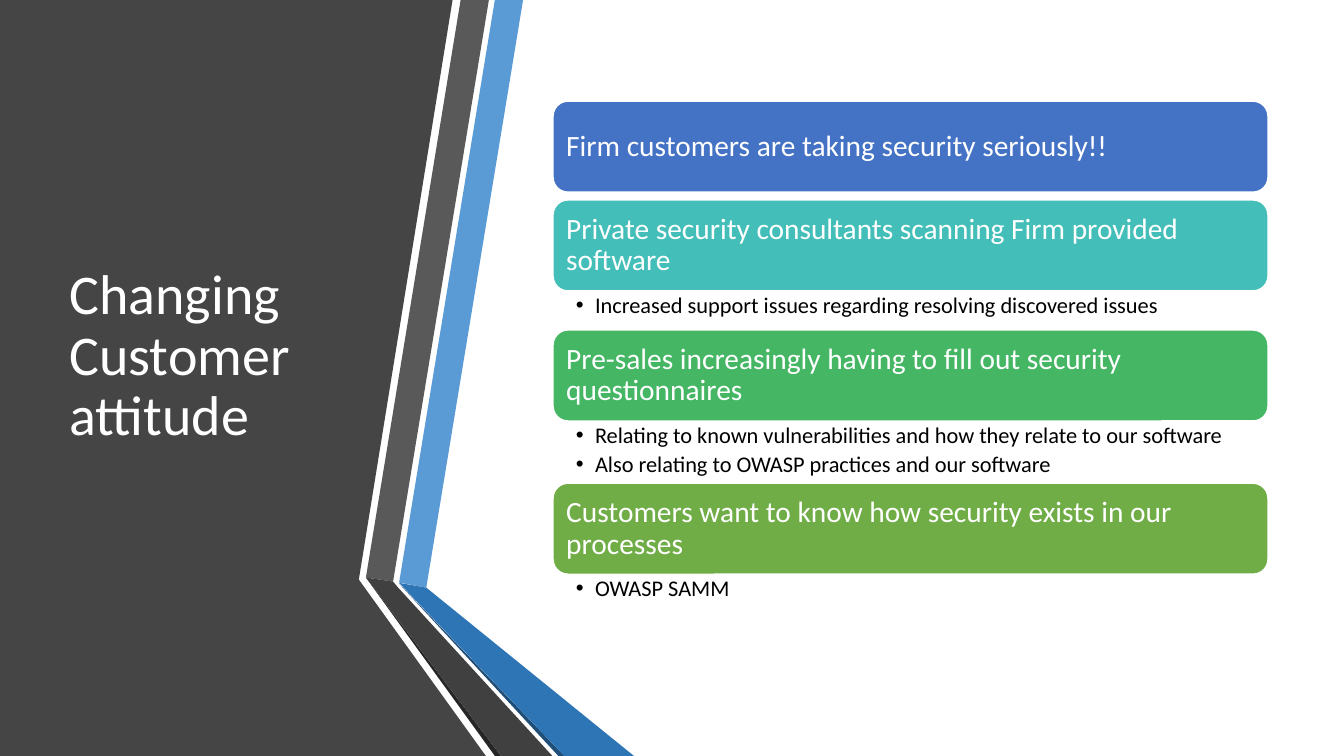
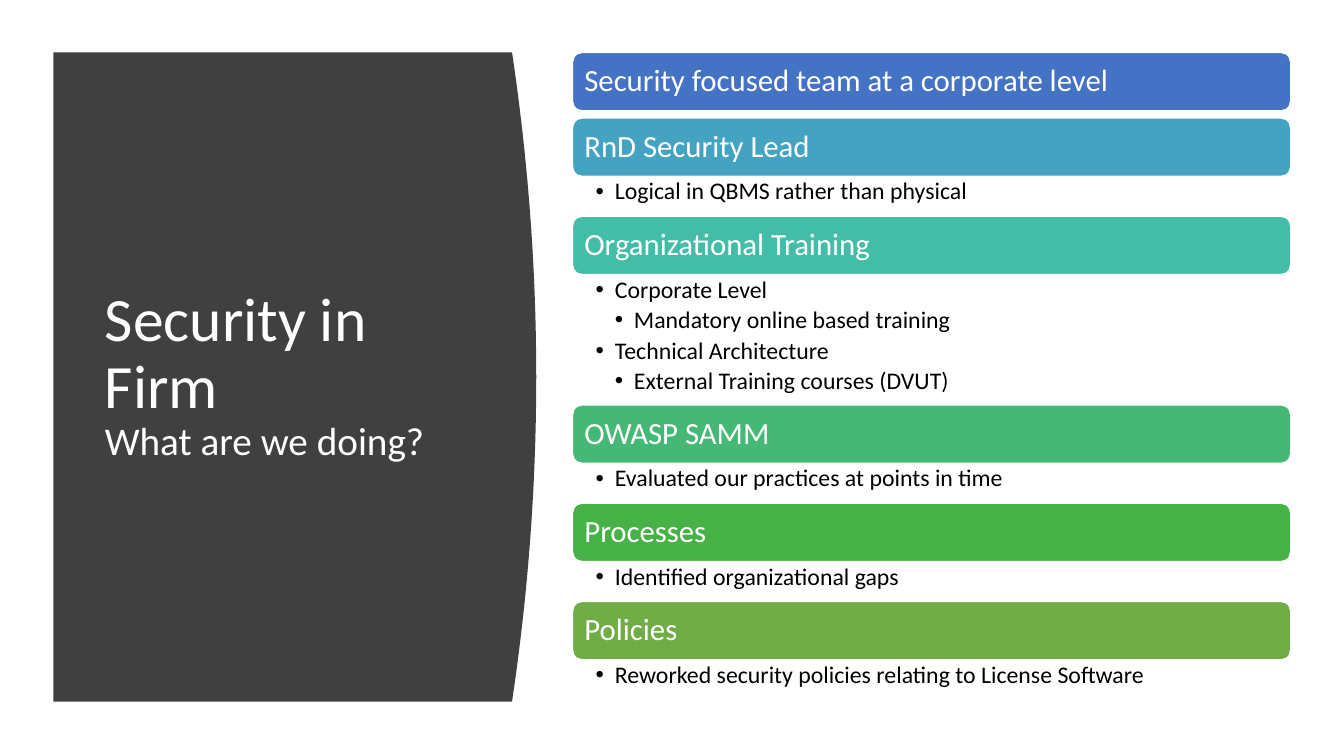
from dataclasses import dataclass

from lxml.etree import SubElement
from pptx import Presentation
from pptx.dml.color import RGBColor
from pptx.enum.shapes import MSO_SHAPE as Preset
from pptx.enum.text import MSO_ANCHOR as Anchor, MSO_AUTO_SIZE as AutoSize, PP_ALIGN as Align
from pptx.oxml.ns import qn
from pptx.util import Emu, Inches, Pt


# Theme: every colour and type size
@dataclass(frozen=True)
class Theme:
    font: str = "Calibri"
    white: str = "FFFFFF"
    ink: str = "000000"
    panel: str = "454545"
    charcoal: str = "404040"
    grey: str = "595959"
    near_black: str = "262626"
    sky: str = "5B9BD5"
    blue: str = "2E75B6"
    navy: str = "1F4E79"
    title: int = 40
    title_large: int = 44
    subtitle: int = 28
    leading: float = 0.9
    customer_cards: tuple = ("4472C4", "43BEB9", "45B664", "70AD47")
    security_cards: tuple = ("4472C4", "44A3C0", "43BDA7", "44B874", "46B246", "70AD47")


# Measures of one card stack: lengths in grid units, type in points
@dataclass(frozen=True)
class CardStack:
    left: float
    top: float
    width: float
    card_height: float
    list_heights: dict  # by number of bullets; 0 is the plain gap
    heading_size: int
    bullet_size: int
    outline: float


COLUMNS, ROWS = 160, 90
UNIT = Inches(7.5) // ROWS


def grid(*lengths):
    return [Emu(round(length * UNIT)) for length in lengths]


class Deck:
    def __init__(self, theme):
        self.theme = theme
        self.prs = Presentation()
        self.prs.slide_width, self.prs.slide_height = grid(COLUMNS, ROWS)
        self.slide = None

    def new_slide(self):
        self.slide = self.prs.slides.add_slide(self.prs.slide_layouts[5])

    def style(self, paragraph, size, colour):
        paragraph.alignment = Align.LEFT
        paragraph.line_spacing = self.theme.leading
        for run in paragraph.runs:
            run.font.name = self.theme.font
            run.font.size = Pt(size)
            run.font.color.rgb = RGBColor.from_string(colour)

    def frame(self, shape, anchor, insets):
        frame = shape.text_frame
        frame.word_wrap = True
        frame.auto_size = AutoSize.NONE
        frame.vertical_anchor = anchor
        (frame.margin_left, frame.margin_top,
         frame.margin_right, frame.margin_bottom) = map(Inches, insets)
        return frame

    def paint(self, shape, colour):
        shape.shadow.inherit = False
        shape.fill.solid()
        shape.fill.fore_color.rgb = RGBColor.from_string(colour)

    def outline(self, colour, points):
        corners = [tuple(grid(*point)) for point in points]
        builder = self.slide.shapes.build_freeform(*corners[0])
        builder.add_line_segments(corners[1:], close=True)
        shape = builder.convert_to_shape()
        self.paint(shape, colour)
        shape.line.fill.background()

    def title(self, box, text, *sizes):
        title = self.slide.shapes.title
        title.left, title.top, title.width, title.height = grid(*box)
        frame = self.frame(title, Anchor.MIDDLE, (0.1, 0.05, 0.1, 0.05))
        frame.text = text
        paragraph = frame.paragraphs[0]
        self.style(paragraph, sizes[0], self.theme.white)
        for run, size in zip(paragraph.runs, sizes):
            run.font.size = Pt(size)
        # Bring the title in front of its panel
        title.element.getparent().append(title.element)

    def card(self, stack, top, colour, heading):
        card = self.slide.shapes.add_shape(
            Preset.ROUNDED_RECTANGLE,
            *grid(stack.left, top, stack.width, stack.card_height))
        self.paint(card, colour)
        card.line.color.rgb = RGBColor.from_string(self.theme.white)
        card.line.width = Pt(stack.outline)
        frame = self.frame(card, Anchor.MIDDLE, (0.09,) * 4)
        frame.text = heading
        self.style(frame.paragraphs[0], stack.heading_size, self.theme.white)

    def bullets(self, stack, top, height, items):
        box = self.slide.shapes.add_textbox(*grid(stack.left, top, stack.width, height))
        frame = self.frame(box, Anchor.TOP, (0.23, 0.03, 0.16, 0.03))
        frame.text = "\n".join(text for level, text in items)
        for paragraph, (level, text) in zip(frame.paragraphs, items):
            self.style(paragraph, stack.bullet_size, self.theme.ink)
            paragraph.level = level
            paragraph.space_after = Pt(0.2 * stack.bullet_size)
            props = paragraph._p.get_or_add_pPr()
            props.set("marL", str(Inches(0.19 * level)))
            props.set("indent", str(Inches(-0.19)))
            SubElement(props, qn("a:buFont")).set("typeface", "Arial")
            SubElement(props, qn("a:buChar")).set("char", "•")

    def cards(self, stack, colours, sections):
        top = stack.top
        for colour, (heading, *items) in zip(colours, sections):
            self.card(stack, top, colour, heading)
            top += stack.card_height
            height = stack.list_heights[len(items)]
            if items:
                self.bullets(stack, top, height, items)
            top += height


theme = Theme()
deck = Deck(theme)

# Slide 1: customer attitude, with a folded ribbon beside the panel
deck.new_slide()
ribbon = [
    (theme.panel, [(0, 0), (53.88, 0), (42.72, 69), (57.84, 90), (0, 90)]),
    (theme.sky, [(47.52, 69.36), (50.76, 69.96), (62.28, 0), (58.92, 0)]),
    (theme.grey, [(58.2, 0), (54.84, 0), (43.56, 68.76), (46.8, 69.24)]),
    (theme.near_black, [(43.56, 68.76), (58.92, 90), (59.64, 90)]),
    (theme.navy, [(47.52, 69.48), (66.48, 90), (67.2, 90)]),
    (theme.blue, [(47.52, 69.4), (67.2, 90), (75.48, 90), (50.76, 69.96)]),
    (theme.charcoal, [(43.56, 68.76), (59.64, 90), (65.76, 90), (47.4, 69.96), (46.8, 69.24)]),
]
for colour, points in ribbon:
    deck.outline(colour, points)
deck.title((7.08, 9, 36.48, 67), "Changing Customer attitude", theme.title)

customer_stack = CardStack(
    left=65.8, top=12, width=85.2, card_height=10.92,
    list_heights={0: 0.84, 1: 4.56, 2: 7.32},
    heading_size=21, bullet_size=16, outline=1.5)
deck.cards(customer_stack, theme.customer_cards, [
    ("Firm customers are taking security seriously!!",),
    ("Private security consultants scanning Firm provided software",
     (1, "Increased support issues regarding resolving discovered issues")),
    ("Pre-sales increasingly having to fill out security questionnaires",
     (1, "Relating to known vulnerabilities and how they relate to our software"),
     (1, "Also relating to OWASP practices and our software")),
    ("Customers want to know how security exists in our processes",
     (1, "OWASP SAMM")),
])

# Slide 2: security measures, with a panel bulging to the right
deck.new_slide()
panel_left, panel_right, panel_top, panel_height = 6.36, 60.96, 6.24, 77.28
bulge, steps = 2.88, 40
curve = [(panel_right + bulge * (1 - (2 * step / steps - 1) ** 2),
          panel_top + panel_height * step / steps) for step in range(steps + 1)]
deck.outline(theme.charcoal, [
    (panel_left, panel_top), *curve, (panel_left, panel_top + panel_height)])
deck.title((11.28, 13.32, 44.88, 62.88), "Security in Firm\vWhat are we doing?",
           theme.title_large, theme.subtitle)

security_stack = CardStack(
    left=68.16, top=6.24, width=85.5, card_height=6.96,
    list_heights={0: 0.84, 1: 4.74, 4: 15.5},
    heading_size=22, bullet_size=17, outline=1)
deck.cards(security_stack, theme.security_cards, [
    ("Security focused team at a corporate level",),
    ("RnD Security Lead", (1, "Logical in QBMS rather than physical")),
    ("Organizational Training",
     (1, "Corporate Level"),
     (2, "Mandatory online based training"),
     (1, "Technical Architecture"),
     (2, "External Training courses (DVUT)")),
    ("OWASP SAMM", (1, "Evaluated our practices at points in time")),
    ("Processes", (1, "Identified organizational gaps")),
    ("Policies", (1, "Reworked security policies relating to License Software")),
])

deck.prs.save("out.pptx")
